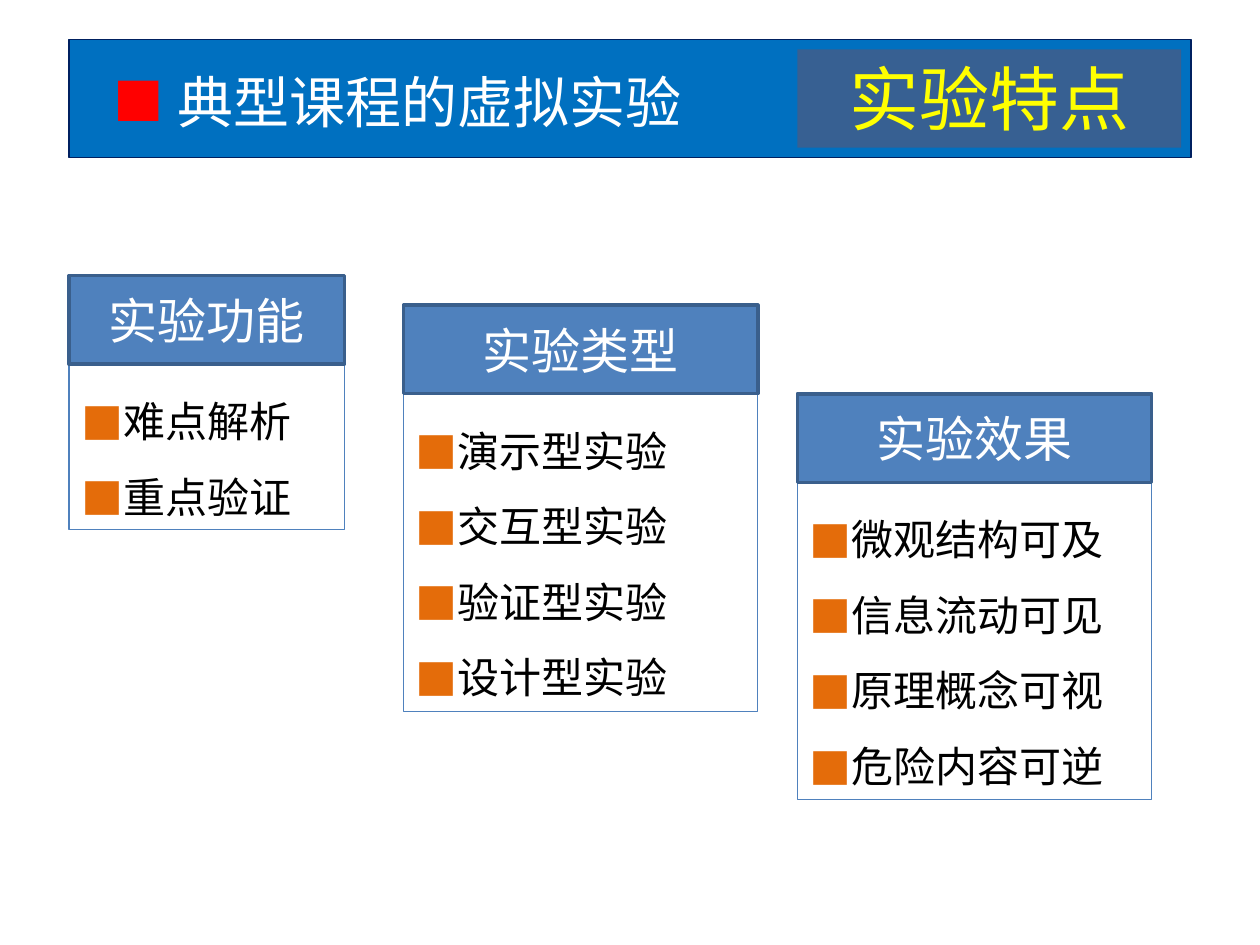
"""Build the slide on the features of virtual experiments."""
import dataclasses

import pptx
import pptx.dml.color
import pptx.enum.shapes
import pptx.enum.text
import pptx.oxml
import pptx.oxml.ns
import pptx.util

Pt = pptx.util.Pt
Align = pptx.enum.text.PP_ALIGN
Anchor = pptx.enum.text.MSO_ANCHOR
AutoSize = pptx.enum.text.MSO_AUTO_SIZE


@dataclasses.dataclass(frozen=True)
class Theme:
    font: str = "Noto Sans CJK SC"
    white: str = "FFFFFF"
    black: str = "000000"
    banner: str = "0070C0"
    banner_line: str = "002060"
    tag: str = "376092"
    tag_text: str = "FFFF00"
    header: str = "4F81BD"
    header_line: str = "3A5F8C"
    title_bullet: str = "FF0000"
    bullet: str = "E46C0A"
    gap_size: int = 36
    title_size: int = 32
    tag_size: int = 40
    header_size: int = 28
    body_size: int = 24


class Deck:
    def __init__(self, prs, theme):
        self.theme = theme
        self.s = prs.slides.add_slide(prs.slide_layouts[5])

    def paint(self, sp, fill=None, line=None, width=0.75):
        if fill:
            sp.fill.solid()
            sp.fill.fore_color.rgb = pptx.dml.color.RGBColor.from_string(fill)
        else:
            sp.fill.background()
        if line:
            sp.line.color.rgb = pptx.dml.color.RGBColor.from_string(line)
            sp.line.width = Pt(width)
        else:
            sp.line.fill.background()

    def rect(self, shapes, box, fill=None, line=None, width=0.75, anchor=Anchor.TOP):
        kind = pptx.enum.shapes.MSO_SHAPE.RECTANGLE
        sp = shapes.add_shape(kind, *map(Pt, box))
        sp.shadow.inherit = False
        self.paint(sp, fill, line, width)
        sp.text_frame.word_wrap = True
        sp.text_frame.vertical_anchor = anchor
        return sp

    def run(self, p, text, size, color):
        r = p.add_run()
        r.text = text
        r.font.size = Pt(size)
        r.font.name = self.theme.font
        r.font.color.rgb = pptx.dml.color.RGBColor.from_string(color)
        ea = pptx.oxml.parse_xml(
            f'<a:ea {pptx.oxml.ns.nsdecls("a")} typeface="{self.theme.font}"/>')
        r.font._element.find(pptx.oxml.ns.qn("a:latin")).addnext(ea)

    def bullet(self, p, color, percent=100, indent=0):
        pPr = p._p.get_or_add_pPr()
        pPr.set("marL", str(Pt(indent)))
        pPr.set("indent", str(-Pt(indent)))
        ns = pptx.oxml.ns.nsdecls("a")
        for xml in (f'<a:buClr {ns}><a:srgbClr val="{color}"/></a:buClr>',
                    f'<a:buSzPct {ns} val="{percent * 1000}"/>',
                    f'<a:buFont {ns} typeface="{self.theme.font}"/>',
                    f'<a:buChar {ns} char="■"/>'):
            pPr.append(pptx.oxml.parse_xml(xml))

    def title(self, text, box):
        t = self.theme
        sp = self.s.shapes.title
        sp.left, sp.top, sp.width, sp.height = map(Pt, box)
        self.paint(sp, t.banner, t.banner_line)
        tf = sp.text_frame
        tf.auto_size = AutoSize.NONE
        tf.word_wrap = True
        tf.vertical_anchor = Anchor.MIDDLE
        tf.margin_left = Pt(25.2)
        p = tf.paragraphs[0]
        self.bullet(p, t.title_bullet, 80)
        p.alignment = Align.LEFT
        self.run(p, " ", t.gap_size, t.white)
        self.run(p, text, t.title_size, t.white)

    def label(self, shapes, text, box, size, color, **style):
        sp = self.rect(shapes, box, **style)
        p = sp.text_frame.paragraphs[0]
        p.alignment = Align.CENTER
        self.run(p, text, size, color)

    def card(self, heading, items, left, top, width, body_height):
        t = self.theme
        header_height = 50.6
        shapes = self.s.shapes.add_group_shape().shapes
        body = (left, top + header_height, width, body_height)
        tf = self.rect(shapes, body, line=t.header).text_frame
        tf.auto_size = AutoSize.SHAPE_TO_FIT_TEXT
        for i, item in enumerate(items):
            p = tf.add_paragraph() if i else tf.paragraphs[0]
            self.bullet(p, t.bullet, indent=22.5)
            p.alignment = Align.LEFT
            p.line_spacing = 1.5
            self.run(p, item, t.body_size, t.black)
        self.label(shapes, heading, (left, top, width, header_height),
                   t.header_size, t.white, fill=t.header,
                   line=t.header_line, width=2, anchor=Anchor.MIDDLE)


def main():
    prs = pptx.Presentation()
    prs.slide_width, prs.slide_height = Pt(720), Pt(540)
    theme = Theme()
    deck = Deck(prs, theme)
    left, right = 39.4, 455.6
    deck.title("典型课程的虚拟实验", (left, 22.5, 641.2, 67.5))
    deck.label(deck.s.shapes, "实验特点", (right, 28.2, 219.4, 56.2),
               theme.tag_size, theme.tag_text, fill=theme.tag)
    cards = [
        ("实验功能", ["难点解析", "重点验证"], left, 157.5, 157.5, 94.4),
        ("实验类型", ["演示型实验", "交互型实验", "验证型实验", "设计型实验"],
         230.6, 174.4, 202.5, 181.4),
        ("实验效果", ["微观结构可及", "信息流动可见", "原理概念可视", "危险内容可逆"],
         right, 225, 202.5, 181.4),
    ]
    for card in cards:
        deck.card(*card)
    prs.save("out.pptx")


if __name__ == "__main__":
    main()
